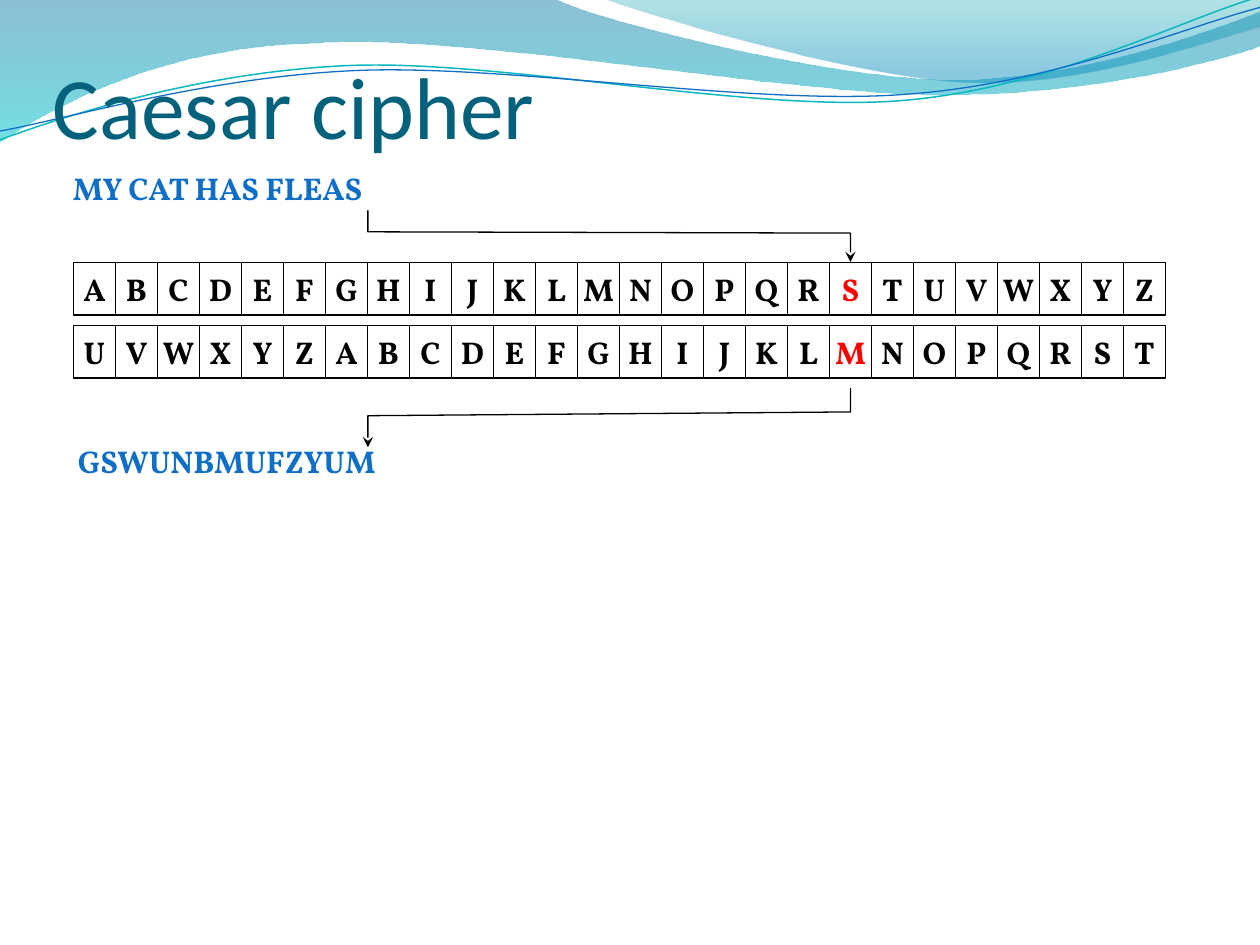
import math

import lxml.etree
import pptx
import pptx.dml.color
import pptx.enum.shapes
import pptx.enum.text
import pptx.oxml
import pptx.oxml.ns
import pptx.util

Inches = pptx.util.Inches
Pt = pptx.util.Pt
RGBColor = pptx.dml.color.RGBColor
Align = pptx.enum.text.PP_ALIGN
Anchor = pptx.enum.text.MSO_ANCHOR
AutoSize = pptx.enum.text.MSO_AUTO_SIZE
qn = pptx.oxml.ns.qn

WHITE = RGBColor(0xFF, 0xFF, 0xFF)
BLACK = RGBColor(0x00, 0x00, 0x00)
RED = RGBColor(0xFF, 0x00, 0x00)
BLUE = RGBColor(0x0F, 0x6F, 0xC6)
TEAL = RGBColor(0x0A, 0xB8, 0xBF)
TITLE_TEAL = RGBColor(0x04, 0x61, 0x7B)
WAVE_BLUE = RGBColor(0x00, 0x74, 0xA1)
WAVE_CYAN = RGBColor(0x00, 0xC6, 0xCF)
CREST_TEAL = RGBColor(0x00, 0xA1, 0xA9)
CREST_BLUE = RGBColor(0x00, 0x8B, 0xBF)

ALPHABET = "ABCDEFGHIJKLMNOPQRSTUVWXYZ"
SHIFT = 20
MARKED = ALPHABET.index("S")
STRAND_TURN = 357.3

# Each path is a start point followed by line ends (2 numbers) or curves (6).
WAVE = [(0, 0), (4.4, -0.01), (4.76, 0.17, 6.64, 0.63, 7.58, 0.63),
        (8.53, 0.63, 9.58, 0.26, 10, 0.09), (10.01, 0.36),
        (9.83, 0.44, 8.7, 0.76, 7.46, 0.75), (6.22, 0.75, 3.82, 0.28, 2.57, 0.34),
        (1.29, 0.36, 0.46, 0.83, -0.01, 1.13), (0, 0)]
CREST = [(4.79, -0.01), (5.09, 0.11, 6.82, 0.62, 7.69, 0.65),
         (8.56, 0.69, 9.61, 0.32, 10, 0.21), (10, 0), (4.79, -0.01)]
TEAL_STRAND = [(0, 1.11), (0.48, 0.93, 1.58, 0.57, 2.77, 0.52),
               (3.95, 0.47, 5.93, 0.89, 7.13, 0.8), (8.33, 0.71, 9.38, 0.15, 9.98, -0.02)]
BLUE_STRAND = [(0, 1.04), (0.47, 0.96, 1.64, 0.61, 2.83, 0.56),
               (4.03, 0.51, 5.97, 0.84, 7.17, 0.75), (8.36, 0.67, 9.41, 0.21, 10, 0.06)]
ARROW_TO_LETTER = [(2.92, 1.67), (2.92, 1.72, 2.92, 1.78, 2.92, 1.84),
                   (6.75, 1.85), (6.75, 2.08)]
ARROW_TO_CIPHER = [(6.75, 3.08), (6.75, 3.15, 6.75, 3.21, 6.75, 3.27),
                   (2.92, 3.3), (2.92, 3.55)]


def turn_back(path_steps, angle, center):
    """Undo a clockwise turn of a path around its center."""
    cos, sin = math.cos(math.radians(angle)), math.sin(math.radians(angle))
    cx, cy = center
    turned = []
    for step in path_steps:
        offsets = [(x - cx, y - cy) for x, y in zip(step[::2], step[1::2])]
        turned.append([value for x, y in offsets
                       for value in (cx + x * cos + y * sin, cy - x * sin + y * cos)])
    return turned


def add_outline(slide, path_steps, close=False):
    """Add an unfilled freeform of lines and cubic curves."""
    points = [(Inches(x), Inches(y)) for step in path_steps
              for x, y in zip(step[::2], step[1::2])]
    builder = slide.shapes.build_freeform(*points[0], scale=1.0)
    builder.add_line_segments(points[1:], close=close)
    outline = builder.convert_to_shape()
    outline.shadow.inherit = False
    outline.fill.background()

    segments = iter(list(outline.element.iter(qn("a:lnTo"))))
    for step in path_steps[1:]:
        first = next(segments)
        if len(step) == 6:
            curve = lxml.etree.Element(qn("a:cubicBezTo"))
            first.addprevious(curve)
            for segment in (first, next(segments), next(segments)):
                curve.append(segment[0])
                segment.getparent().remove(segment)
    return outline


def add_wave(slide, path_steps, stops):
    """Add a closed area with a vertical, partly transparent gradient."""
    wave = add_outline(slide, path_steps, close=True)
    wave.line.fill.background()
    stop_xml = "".join(
        f'<a:gs pos="{pos * 1000}"><a:srgbClr val="{color}">'
        f'<a:alpha val="{alpha * 1000}"/></a:srgbClr></a:gs>'
        for pos, color, alpha in stops)
    gradient = pptx.oxml.parse_xml(
        f'<a:gradFill {pptx.oxml.ns.nsdecls("a")} rotWithShape="1"><a:gsLst>{stop_xml}'
        '</a:gsLst><a:lin ang="5400000" scaled="0"/></a:gradFill>')
    properties = wave.element.spPr
    properties.replace(properties.find(qn("a:noFill")), gradient)


def add_strand(slide, path_steps, color, width=0.75, arrow=False):
    """Add an open line, with a stealth arrowhead at its end if wanted."""
    strand = add_outline(slide, path_steps)
    strand.line.color.rgb = color
    strand.line.width = Pt(width)
    if arrow:
        line = strand.element.spPr.find(qn("a:ln"))
        lxml.etree.SubElement(line, qn("a:tailEnd"), type="stealth")
    return strand


def write_text(frame, text, size=18, font="Vollkorn", color=BLACK, bold=True,
               align=Align.LEFT, anchor=Anchor.TOP, wrap=False, auto_size=AutoSize.NONE):
    """Write one formatted paragraph into a text frame."""
    frame.word_wrap = wrap
    frame.auto_size = auto_size
    frame.vertical_anchor = anchor
    paragraph = frame.paragraphs[0]
    paragraph.alignment = align
    run = paragraph.add_run()
    run.text = text
    run.font.size = Pt(size)
    run.font.name = font
    run.font.bold = bold
    run.font.color.rgb = color


def add_title(slide, text):
    """Place the title above the waves in drawing order."""
    title = slide.shapes.title
    slide.shapes.element.append(title.element)
    title.left, title.top = Inches(0.42), Inches(0)
    title.width, title.height = Inches(9), Inches(1.25)
    frame = title.text_frame
    frame.margin_left = frame.margin_right = frame.margin_bottom = 0
    frame.margin_top = Inches(0.05)
    write_text(frame, text, size=50, font="Calibri", color=TITLE_TEAL, bold=False,
               anchor=Anchor.BOTTOM, wrap=True)


def add_letter_row(slide, letters, top):
    """Add a group of adjoining letter cells with the marked one in red."""
    row = slide.shapes.add_group_shape()
    for i, letter in enumerate(letters):
        cell = row.shapes.add_shape(
            pptx.enum.shapes.MSO_SHAPE.RECTANGLE,
            Inches((7 + 4 * i) / 12), Inches(top), Inches(1 / 3), Inches(5 / 12))
        cell.shadow.inherit = False
        cell.fill.solid()
        cell.fill.fore_color.rgb = WHITE
        cell.line.color.rgb = BLACK
        cell.line.width = Pt(0.75)
        write_text(cell.text_frame, letter, color=RED if i == MARKED else BLACK,
                   align=Align.CENTER, anchor=Anchor.MIDDLE)


def add_message(slide, text, left, top, width):
    """Add a blue message line."""
    message = slide.shapes.add_textbox(Inches(left), Inches(top), Inches(width), Inches(0.4))
    write_text(message.text_frame, text, color=BLUE, auto_size=AutoSize.SHAPE_TO_FIT_TEXT)


def main():
    """Build the slide and save it."""
    deck = pptx.Presentation()
    deck.slide_width, deck.slide_height = Inches(10), Inches(7.5)
    slide = deck.slides.add_slide(deck.slide_layouts[5])

    add_wave(slide, WAVE, [(0, WAVE_BLUE, 45), (100, WAVE_CYAN, 55)])
    add_wave(slide, CREST, [(0, CREST_TEAL, 30), (80, CREST_BLUE, 45)])
    for path_steps, center, color, width in (
            (TEAL_STRAND, (4.99, 0.58), TEAL, 0.85),
            (BLUE_STRAND, (5, 0.59), BLUE, 0.75)):
        level_steps = turn_back(path_steps, STRAND_TURN, center)
        add_strand(slide, level_steps, color, width).rotation = STRAND_TURN
    add_title(slide, "Caesar cipher")

    add_letter_row(slide, ALPHABET, 25 / 12)
    add_letter_row(slide, ALPHABET[SHIFT:] + ALPHABET[:SHIFT], 31 / 12)
    add_message(slide, "MY CAT HAS FLEAS", 0.48, 1.29, 2.65)
    add_strand(slide, ARROW_TO_LETTER, BLACK, arrow=True)
    add_message(slide, "GSWUNBMUFZYUM", 0.52, 3.46, 2.59)
    add_strand(slide, ARROW_TO_CIPHER, BLACK, arrow=True)
    deck.save("out.pptx")


main()
